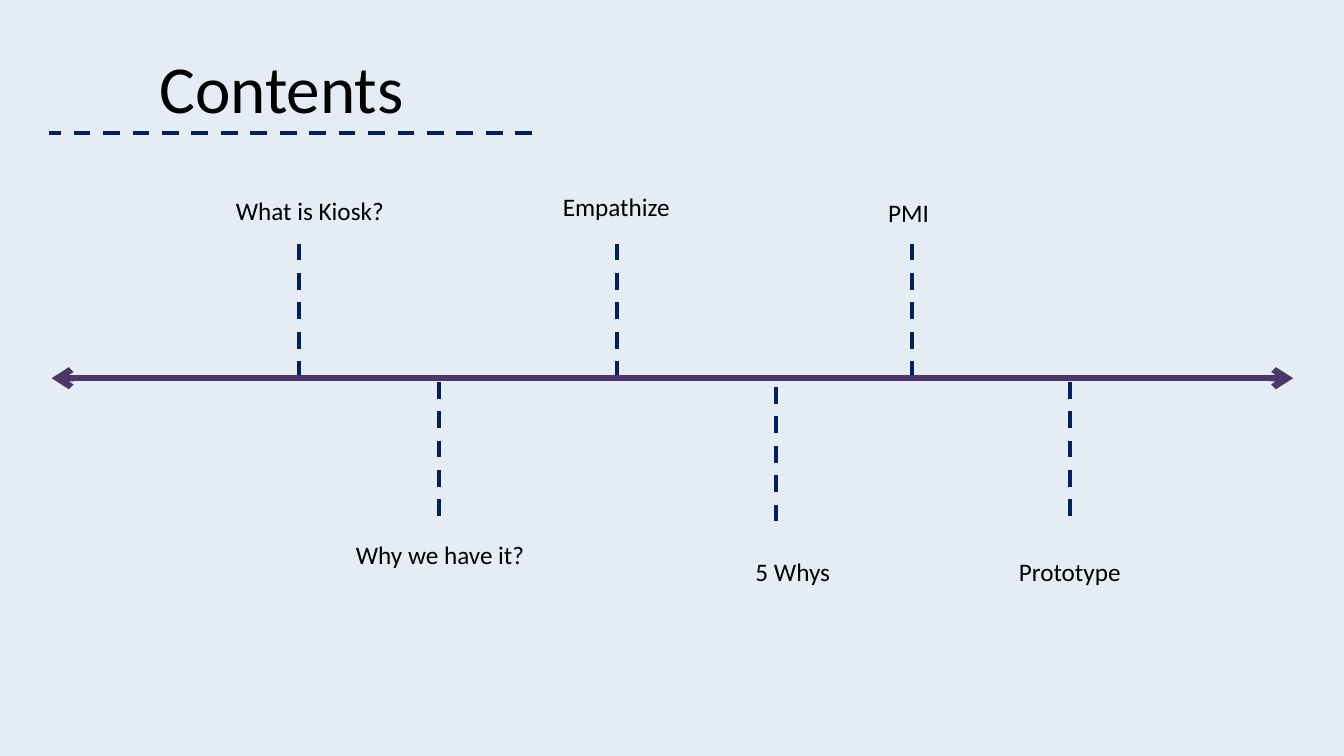
from pptx import Presentation
from pptx.dml.color import RGBColor
from pptx.enum.dml import MSO_LINE
from pptx.enum.shapes import MSO_CONNECTOR
from pptx.enum.text import MSO_AUTO_SIZE, PP_ALIGN
from pptx.oxml.ns import qn
from pptx.util import Cm, Pt
from lxml.etree import SubElement

BACKGROUND = RGBColor(0xE6, 0xEC, 0xF3)
NAVY = RGBColor(0x00, 0x20, 0x60)
PURPLE = RGBColor(0x4C, 0x37, 0x6B)
BLACK = RGBColor(0x00, 0x00, 0x00)

STEM_LENGTH = 3.48
LABEL_WIDTH, LABEL_HEIGHT = 6.02, 1.03

# Text, stem x, label centre x, label top, gap between axis and stem;
# lengths in cm, x from the left of the timeline and y from its axis.
TOPICS = [
    ("What is Kiosk?", 6.24, 6.51, -4.73, 0),
    ("Why we have it?", 9.77, 9.79, 3.93, 0),
    ("Empathize", 14.24, 14.23, -4.83, 0),
    ("5 Whys", 18.26, 18.68, 4.36, 0.13),
    ("PMI", 21.69, 21.6, -4.68, 0),
    ("Prototype", 25.67, 25.66, 4.36, 0),
]


def add_line(slide, start, end, color, width, dash=None):
    s = slide.shapes.add_connector(
        MSO_CONNECTOR.STRAIGHT, *(Cm(v) for v in (*start, *end)))
    s.line.color.rgb = color
    s.line.width = Pt(width)
    if dash:
        s.line.dash_style = dash
    SubElement(s._element.spPr, qn("a:effectLst"))
    return s


def add_dashed_line(slide, start, end):
    add_line(slide, start, end, NAVY, 3, MSO_LINE.DASH)


def add_label(slide, text, left, top, width, height, size):
    s = slide.shapes.add_textbox(Cm(left), Cm(top), Cm(width), Cm(height))
    tf = s.text_frame
    tf.word_wrap = True
    tf.auto_size = MSO_AUTO_SIZE.SHAPE_TO_FIT_TEXT
    p = tf.paragraphs[0]
    p.alignment = PP_ALIGN.CENTER
    r = p.add_run()
    r.text = text
    for name, value in {"name": "Calibri", "size": Pt(size)}.items():
        setattr(r.font, name, value)
    r.font.color.rgb = BLACK


def add_title(slide, left, top, width, height):
    add_label(slide, "Contents", left, top, width, height, 48)
    underline = top + height
    add_dashed_line(slide, (left + width + 0.46, underline), (left, underline))


def add_timeline(slide, left, axis, width):
    for text, stem_x, label_x, label_top, gap in TOPICS:
        x = left + stem_x
        if label_top < 0:
            add_dashed_line(slide, (x, axis), (x, axis - STEM_LENGTH))
        else:
            near = axis + gap
            add_dashed_line(slide, (x, near + STEM_LENGTH), (x, near))
        add_label(slide, text, left + label_x - LABEL_WIDTH / 2,
                  axis + label_top, LABEL_WIDTH, LABEL_HEIGHT, 18)

    arrow = add_line(slide, (left, axis), (left + width, axis), PURPLE, 4.5)
    ln = arrow.line._get_or_add_ln()
    for end in ("a:headEnd", "a:tailEnd"):
        SubElement(ln, qn(end), type="arrow")


def main():
    prs = Presentation()
    prs.slide_width, prs.slide_height = Cm(33.87), Cm(19.05)
    slide = prs.slides.add_slide(prs.slide_layouts[6])
    fill = slide.background.fill
    fill.solid()
    fill.fore_color.rgb = BACKGROUND
    add_timeline(slide, left=1.3, axis=9.53, width=31.29)
    add_title(slide, left=1.24, top=1.04, width=11.71, height=2.31)
    prs.save("out.pptx")


if __name__ == "__main__":
    main()
